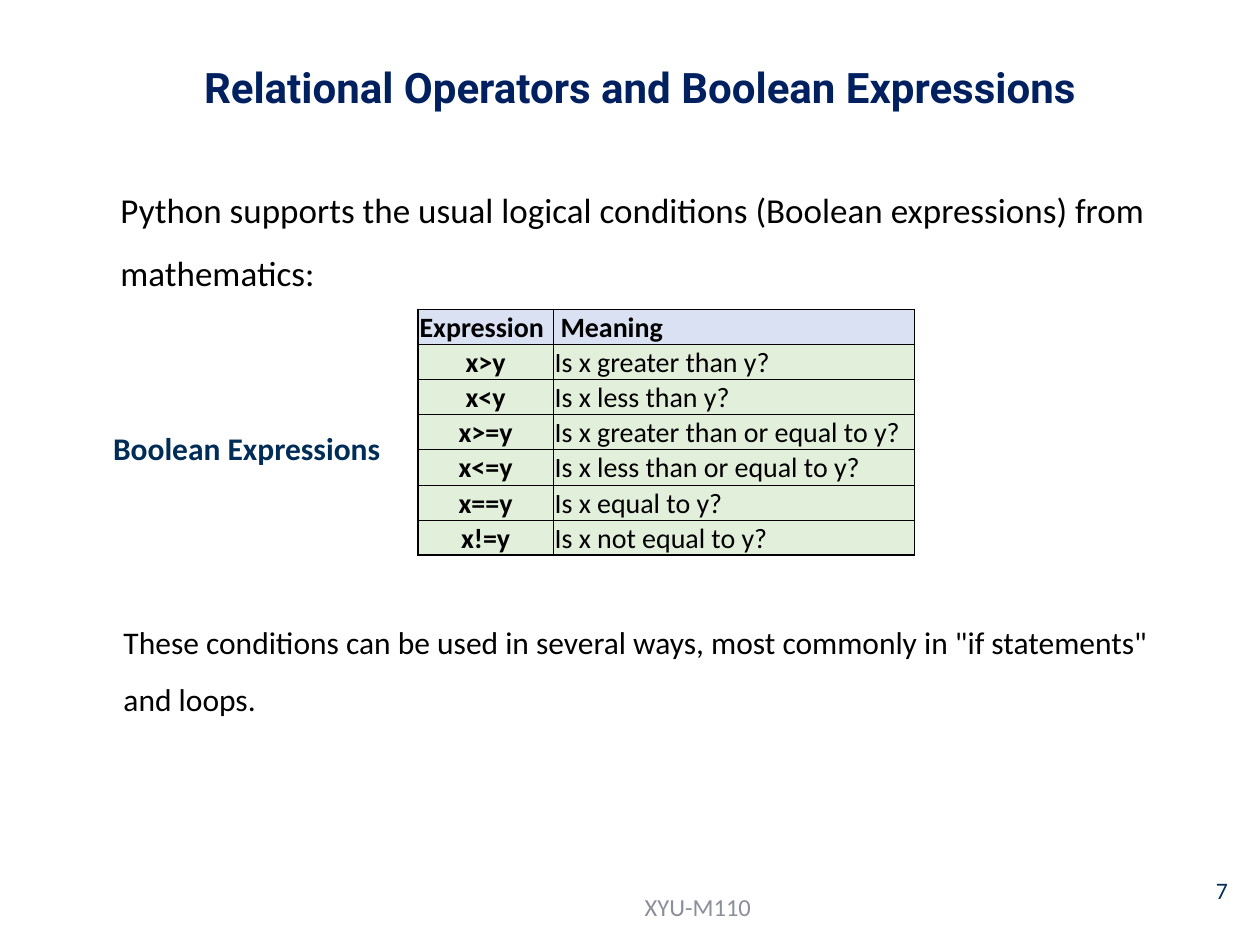
from dataclasses import dataclass

from lxml import etree
from pptx import Presentation
from pptx import util as u
from pptx.dml.color import RGBColor
from pptx.enum import text
from pptx.oxml import ns


@dataclass(frozen=True)
class Theme:
    """Colours, fonts and type sizes of the slide."""
    body_font: str = "Calibri"
    title_font: str = "Roboto"
    title: str = "002060"
    accent: str = "002D58"
    ink: str = "000000"
    muted: str = "8C8F9A"
    header_fill: str = "D9E1F2"
    body_fill: str = "E2EFDA"
    title_size: float = 24
    lead_size: float = 20
    body_size: float = 18
    table_size: float = 16
    footer_size: float = 14
    number_size: float = 13.5
    outer_line: float = 1
    inner_line: float = 0.5


THEME = Theme()
OPERATORS = [
    ("Expression", "Meaning"),
    ("x>y", "Is x greater than y?"),
    ("x<y", "Is x less than y?"),
    ("x>=y", "Is x greater than or equal to y?"),
    ("x<=y", "Is x less than or equal to y?"),
    ("x==y", "Is x equal to y?"),
    ("x!=y", "Is x not equal to y?"),
]


def add_span(para, words, size, color, bold=False, font=THEME.body_font):
    """Add one formatted run to a paragraph."""
    span = para.add_run()
    span.text = words
    span.font.name = font
    span.font.size = u.Pt(size)
    span.font.bold = bold
    span.font.color.rgb = RGBColor.from_string(color)


def add_title(page, box, words):
    """Move the title placeholder into the box and fill it."""
    title = page.shapes.title
    title.left, title.top, title.width, title.height = map(u.Cm, box)
    frame = title.text_frame
    frame.word_wrap = True
    frame.auto_size = text.MSO_AUTO_SIZE.NONE
    frame.vertical_anchor = text.MSO_ANCHOR.TOP
    para = frame.paragraphs[0]
    para.alignment = text.PP_ALIGN.LEFT
    add_span(para, words, THEME.title_size, THEME.title, True, THEME.title_font)


def add_text(page, box, words, size, color, bold=False, spacing=None,
             align=text.PP_ALIGN.LEFT, anchor=text.MSO_ANCHOR.TOP):
    """Place a wrapped one-paragraph text box."""
    frame = page.shapes.add_textbox(*map(u.Cm, box)).text_frame
    frame.word_wrap = True
    frame.vertical_anchor = anchor
    para = frame.paragraphs[0]
    para.alignment = align
    para.line_spacing = spacing
    add_span(para, words, size, color, bold)


def add_border(cell, side, width):
    """Draw one solid border of a table cell."""
    line = etree.SubElement(cell._tc.get_or_add_tcPr(), ns.qn(f"a:ln{side}"),
                            w=str(u.Pt(width)))
    fill = etree.SubElement(line, ns.qn("a:solidFill"))
    etree.SubElement(fill, ns.qn("a:srgbClr"), val=THEME.ink)


def add_operator_table(page, box, rows, first_width):
    """Place the table of operators with a heavier outer frame."""
    left, top, width, height = box
    last_row = len(rows) - 1
    table = page.shapes.add_table(len(rows), 2, *map(u.Cm, box)).table
    table.first_row = table.horz_banding = False
    table.columns[0].width = u.Cm(first_width)
    table.columns[1].width = u.Cm(width - first_width)
    for r, row in enumerate(rows):
        table.rows[r].height = u.Cm(height / len(rows))
        for c, words in enumerate(row):
            cell = table.cell(r, c)
            header = r == 0
            cell.margin_left = u.Cm(0.15 if header and c == 1 else 0.03)
            cell.margin_right = cell.margin_top = u.Cm(0.03)
            cell.margin_bottom = 0
            cell.vertical_anchor = text.MSO_ANCHOR.MIDDLE
            edges = {"L": c == 0, "R": c == 1, "T": header, "B": r == last_row}
            for side, outer in edges.items():
                add_border(cell, side, THEME.outer_line if outer else THEME.inner_line)
            cell.fill.solid()
            cell.fill.fore_color.rgb = RGBColor.from_string(
                THEME.header_fill if header else THEME.body_fill)
            para = cell.text_frame.paragraphs[0]
            centred = c == 0 and not header
            para.alignment = text.PP_ALIGN.CENTER if centred else text.PP_ALIGN.LEFT
            add_span(para, words, THEME.table_size, THEME.ink, header or c == 0)


def add_footer(page, box, course, number):
    """Place the course code and the page number in the bottom strip."""
    left, top, width, height = box
    add_text(page, (left, top + 0.23, 7.62, height), course,
             THEME.footer_size, THEME.muted, align=text.PP_ALIGN.CENTER,
             anchor=text.MSO_ANCHOR.MIDDLE)
    add_text(page, (left + width - 1.14, top, 1.14, height), number,
             THEME.number_size, THEME.accent)


def main():
    """Build the slide and save the deck."""
    deck = Presentation()
    deck.slide_width, deck.slide_height = u.Cm(25.4), u.Cm(19.1)
    page = deck.slides.add_slide(deck.slide_layouts[5])
    add_title(page, (3.86, 1.12, 19.15, 1.27),
              "Relational Operators and Boolean Expressions")
    add_text(page, (2.18, 3.25, 22.07, 2.69),
             "Python supports the usual logical conditions (Boolean expressions) "
             "from mathematics:", THEME.lead_size, THEME.ink, spacing=1.5)
    add_operator_table(page, (8.43, 6.24, 10.01, 4.93), OPERATORS, 2.72)
    add_text(page, (2.24, 12.07, 21.31, 2.44),
             "These conditions can be used in several ways, most commonly in "
             '"if statements" and loops.', THEME.body_size, THEME.ink, spacing=1.5)
    add_text(page, (2.03, 8.53, 6.17, 1.02), "Boolean Expressions",
             THEME.body_size, THEME.accent, bold=True)
    add_footer(page, (10.26, 17.55, 15.14, 1.02), "XYU-M110", "7")
    deck.save("out.pptx")


if __name__ == "__main__":
    main()
